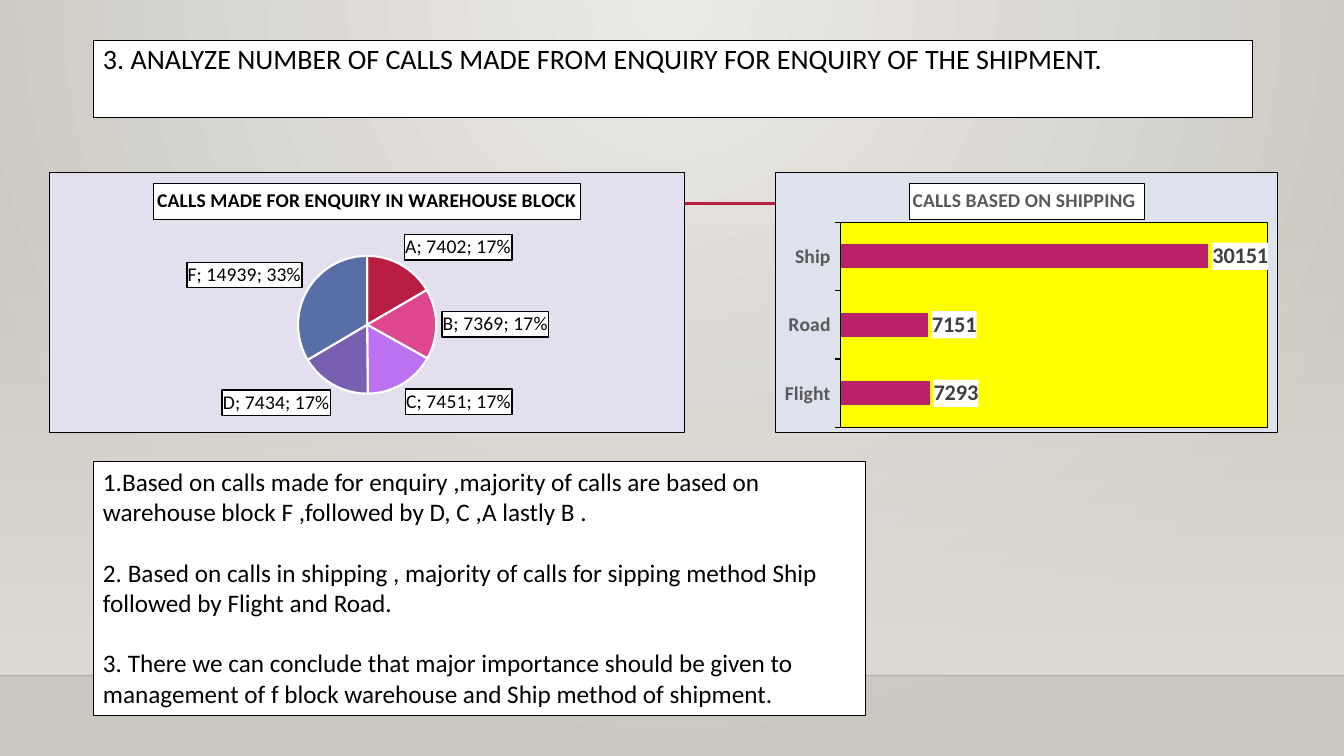
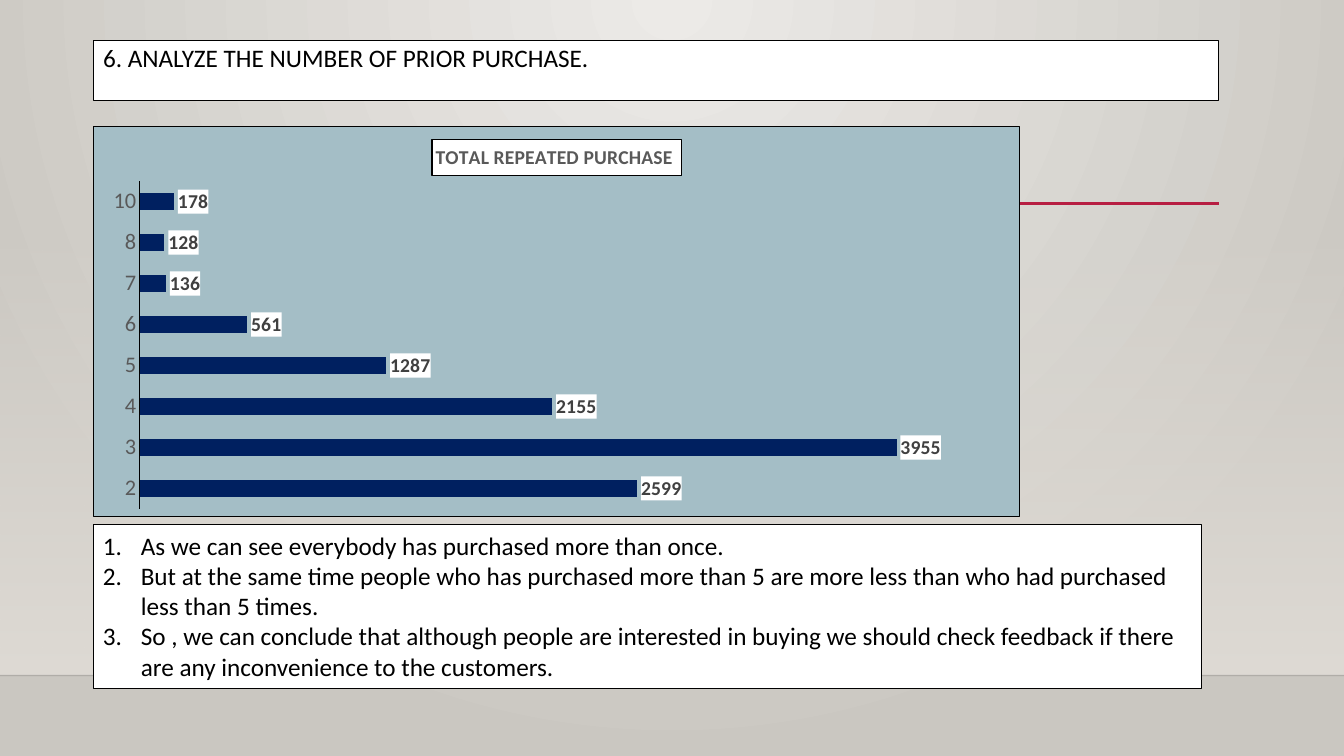
from lxml import etree
from pptx import Presentation
from pptx.chart.data import CategoryChartData
from pptx.dml.color import RGBColor
from pptx.enum import chart as kinds, shapes, text
from pptx.oxml import parse_xml
from pptx.oxml.ns import nsdecls, qn
from pptx.util import Pt

FONT = "Calibri"
BLACK = RGBColor(0x00, 0x00, 0x00)
WHITE = RGBColor(0xFF, 0xFF, 0xFF)
GREY = RGBColor(0x59, 0x59, 0x59)
LABEL_GREY = RGBColor(0x40, 0x40, 0x40)
CRIMSON = RGBColor(0xB7, 0x1E, 0x42)
MAGENTA = RGBColor(0xBA, 0x21, 0x69)
NAVY = RGBColor(0x00, 0x20, 0x60)
YELLOW = RGBColor(0xFF, 0xFF, 0x00)
LAVENDER = RGBColor(0xE4, 0xDF, 0xEF)
PALE_BLUE = RGBColor(0xDE, 0xE2, 0xED)
TEAL = RGBColor(0xA4, 0xBE, 0xC6)
GLOW = RGBColor(0xEC, 0xEA, 0xE7)
STONE = RGBColor(0xCA, 0xC7, 0xC1)
SAND = RGBColor(0xDF, 0xDB, 0xD5)
PIE_COLORS = [CRIMSON, RGBColor(0xDE, 0x47, 0x8E), RGBColor(0xBC, 0x72, 0xF0),
              RGBColor(0x79, 0x5F, 0xAF), RGBColor(0x58, 0x6E, 0xA6)]

WIDTH, HEIGHT = 960, 540
LEFT = 66.5
FLOOR = 482.5
CHART_TOP = 123


def set_alpha(element, percent):
    color = next(element.iter(qn("a:srgbClr")))
    etree.SubElement(color, qn("a:alpha")).set("val", str(percent * 1000))


def set_gradient(fill, start, end):
    fill.gradient()
    for stop, color in zip(fill.gradient_stops, (start, end)):
        stop.color.rgb = color


def style_master(deck):
    master = deck.slide_master
    set_gradient(master.background.fill, GLOW, STONE)
    gradient = next(master._element.iter(qn("a:gradFill")))
    gradient.replace(gradient.find(qn("a:lin")), parse_xml(
        f'<a:path {nsdecls("a")} path="circle">'
        '<a:fillToRect l="43000" t="0" r="43000" b="100000"/></a:path>'))


def add_line(page, left, right, y, color, width):
    line = page.shapes.add_connector(
        shapes.MSO_CONNECTOR.STRAIGHT, Pt(left), Pt(y), Pt(right), Pt(y))
    line.line.color.rgb = color
    line.line.width = Pt(width)
    etree.SubElement(line._element.spPr, qn("a:effectLst"))
    return line


def add_page(deck):
    page = deck.slides.add_slide(deck.slide_layouts[6])
    wall_top = 159
    wall = page.shapes.add_shape(shapes.MSO_SHAPE.RECTANGLE, 0, Pt(wall_top),
                                 Pt(WIDTH), Pt(FLOOR - wall_top))
    wall.shadow.inherit = False
    set_gradient(wall.fill, SAND, SAND)
    wall.fill.gradient_angle = 270
    set_alpha(wall._element.spPr, 0)
    wall.line.fill.background()
    floor_line = add_line(page, 0, WIDTH, FLOOR, BLACK, 1)
    set_alpha(floor_line._element.spPr, 20)
    add_line(page, 114.5, 871, 145.5, CRIMSON, 2.5)
    return page


def add_box(page, frame, lines, size=18, gap=0, spacing=1.0, numbered=False):
    box = page.shapes.add_textbox(*map(Pt, frame))
    box.fill.solid()
    box.fill.fore_color.rgb = WHITE
    box.line.color.rgb = BLACK
    box.line.width = Pt(0.75)
    body = box.text_frame
    body.word_wrap = True
    body.vertical_anchor = text.MSO_ANCHOR.TOP
    body.text = "\n".join(lines)
    for index, para in enumerate(body.paragraphs):
        if numbered:
            settings = para._p.get_or_add_pPr()
            settings.set("marL", str(Pt(27)))
            settings.set("indent", str(Pt(-27)))
            number = etree.SubElement(settings, qn("a:buAutoNum"))
            number.set("type", "arabicPeriod")
        para.line_spacing = spacing
        if index and gap:
            para.space_before = Pt(gap)
        for span in para.runs:
            style_font(span.font, size, BLACK)


def style_font(font, size, color, bold=False):
    font.name = FONT
    font.size = Pt(size)
    font.color.rgb = color
    font.bold = bold


def area_style(fill, border=None, width=0.75):
    outline = (f'<a:solidFill><a:srgbClr val="{border}"/></a:solidFill>'
               if border is not None else "<a:noFill/>")
    return parse_xml(
        f'<c:spPr {nsdecls("c", "a")}>'
        f'<a:solidFill><a:srgbClr val="{fill}"/></a:solidFill>'
        f'<a:ln w="{Pt(width)}">{outline}</a:ln></c:spPr>')


def place_plot(chart, x, y, w, h):
    area = chart._chartSpace.chart.plotArea
    for layout in area.findall(qn("c:layout")):
        area.remove(layout)
    sizes = "".join(f'<c:{name} val="{value}"/>'
                    for name, value in zip("xywh", (x, y, w, h)))
    area.insert(0, parse_xml(
        f'<c:layout {nsdecls("c")}><c:manualLayout>'
        '<c:layoutTarget val="inner"/><c:xMode val="edge"/>'
        f'<c:yMode val="edge"/>{sizes}</c:manualLayout></c:layout>'))


def add_chart(page, kind, frame, title, title_color, fill, values, layout):
    data = CategoryChartData()
    data.categories = list(values)
    data.add_series("Series 1", list(values.values()))
    chart = page.shapes.add_chart(kind, *map(Pt, frame), data).chart
    chart.has_legend = False
    style_font(chart.font, 10, BLACK)
    chart.has_title = True
    heading = chart.chart_title
    heading.include_in_layout = False
    heading.text_frame.text = title
    style_font(heading.text_frame.paragraphs[0].runs[0].font, 14, title_color, True)
    heading.format.fill.solid()
    heading.format.fill.fore_color.rgb = WHITE
    heading.format.line.color.rgb = BLACK
    heading.format.line.width = Pt(0.75)
    space = chart._chartSpace
    space.chart.addnext(area_style(fill, BLACK))
    place_plot(chart, *layout)
    return chart


def add_labels(plot, size, color, bold=False, border=None):
    plot.has_data_labels = True
    labels = plot.data_labels
    style_font(labels.font, size, color, bold)
    labels.show_value = True
    labels.position = kinds.XL_LABEL_POSITION.OUTSIDE_END
    element = labels._element
    element.find(qn("c:txPr")).addprevious(area_style(WHITE, border, 1))
    return labels


def add_pie(page, frame, title, fill, values, layout):
    chart = add_chart(page, kinds.XL_CHART_TYPE.PIE, frame, title, BLACK,
                      fill, values, layout)
    plot = chart.plots[0]
    plot.vary_by_categories = True
    for index, color in enumerate(PIE_COLORS):
        look = plot.series[0].points[index].format
        look.fill.solid()
        look.fill.fore_color.rgb = color
        look.line.color.rgb = WHITE
        look.line.width = Pt(1.5)
    labels = add_labels(plot, 14, BLACK, border=BLACK)
    labels.show_category_name = True
    labels.show_percentage = True
    separator = etree.Element(qn("c:separator"))
    separator.text = "; "
    flags = labels._element
    last = flags.find(qn("c:showBubbleSize"))
    if last is None:
        last = flags.find(qn("c:showPercent"))
    last.addnext(separator)


def add_bars(page, frame, title, fill, values, layout, color, gap, top,
             axis_size, axis_bold, tick, label_size):
    chart = add_chart(page, kinds.XL_CHART_TYPE.BAR_CLUSTERED, frame, title,
                      GREY, fill, values, layout)
    plot = chart.plots[0]
    plot.vary_by_categories = False
    plot.gap_width = gap
    bars = plot.series[0].format.fill
    bars.solid()
    bars.fore_color.rgb = color
    add_labels(plot, label_size, LABEL_GREY, True)
    scale = chart.value_axis
    scale.minimum_scale, scale.maximum_scale = 0, top
    scale.has_major_gridlines = False
    scale.visible = False
    axis = chart.category_axis
    axis.major_tick_mark = tick
    axis.format.line.color.rgb = BLACK
    axis.format.line.width = Pt(0.75)
    style_font(axis.tick_labels.font, axis_size, GREY, axis_bold)
    return chart


def add_calls_page(deck):
    page = add_page(deck)
    add_box(page, (LEFT, 29, 828, 55),
            ["3. ANALYZE NUMBER OF CALLS MADE FROM ENQUIRY FOR ENQUIRY OF THE SHIPMENT."],
            size=20, spacing=0.9)
    add_pie(page, (35, CHART_TOP, 454.5, 186.5),
            "CALLS MADE FOR ENQUIRY IN WAREHOUSE BLOCK", LAVENDER,
            {"A": 7402, "B": 7369, "C": 7451, "D": 7434, "F": 14939},
            (0.39, 0.32, 0.22, 0.53))
    shipping = add_bars(
        page, (553.5, CHART_TOP, 359.5, 186.5), "CALLS BASED ON SHIPPING ",
        PALE_BLUE, {"Flight": 7293, "Road": 7151, "Ship": 30151},
        (0.13, 0.19, 0.85, 0.79), MAGENTA, gap=182, top=35000, axis_size=14,
        axis_bold=True, tick=kinds.XL_TICK_MARK.OUTSIDE, label_size=16)
    shipping._chartSpace.chart.plotArea.append(area_style(YELLOW, BLACK))
    add_box(page, (LEFT, 329.5, 551.5, 181.5), [
        "1.Based on calls made for enquiry ,majority of calls are based on warehouse block F ,followed by D, C ,A lastly B .",
        "2. Based on calls in shipping , majority of calls for sipping method Ship followed by Flight and Road.",
        "3. There we can conclude that major importance should be given to management of f block warehouse and Ship method of shipment.",
    ], gap=21.6)


def add_purchase_page(deck):
    page = add_page(deck)
    add_box(page, (LEFT, 29, 804, 42.5),
            ["6. ANALYZE THE NUMBER OF PRIOR PURCHASE."], spacing=0.9)
    add_bars(
        page, (LEFT, 90, 662, 279.5), "TOTAL REPEATED PURCHASE ", TEAL,
        {"2": 2599, "3": 3955, "4": 2155, "5": 1287,
         "6": 561, "7": 136, "8": 128, "10": 178},
        (0.05, 0.14, 0.93, 0.84), NAVY, gap=150, top=4500, axis_size=16,
        axis_bold=False, tick=kinds.XL_TICK_MARK.NONE, label_size=14)
    add_box(page, (LEFT, 375, 792, 116.5), [
        "As we can see everybody has purchased more than once.",
        "But at the same time people who has purchased more than 5 are more less than who had purchased less than 5 times.",
        "So , we can conclude that although people are interested in buying we should check feedback if there are any inconvenience to the customers.",
    ], numbered=True)


def main():
    deck = Presentation()
    deck.slide_width, deck.slide_height = Pt(WIDTH), Pt(HEIGHT)
    style_master(deck)
    add_calls_page(deck)
    add_purchase_page(deck)
    deck.save("out.pptx")


if __name__ == "__main__":
    main()
